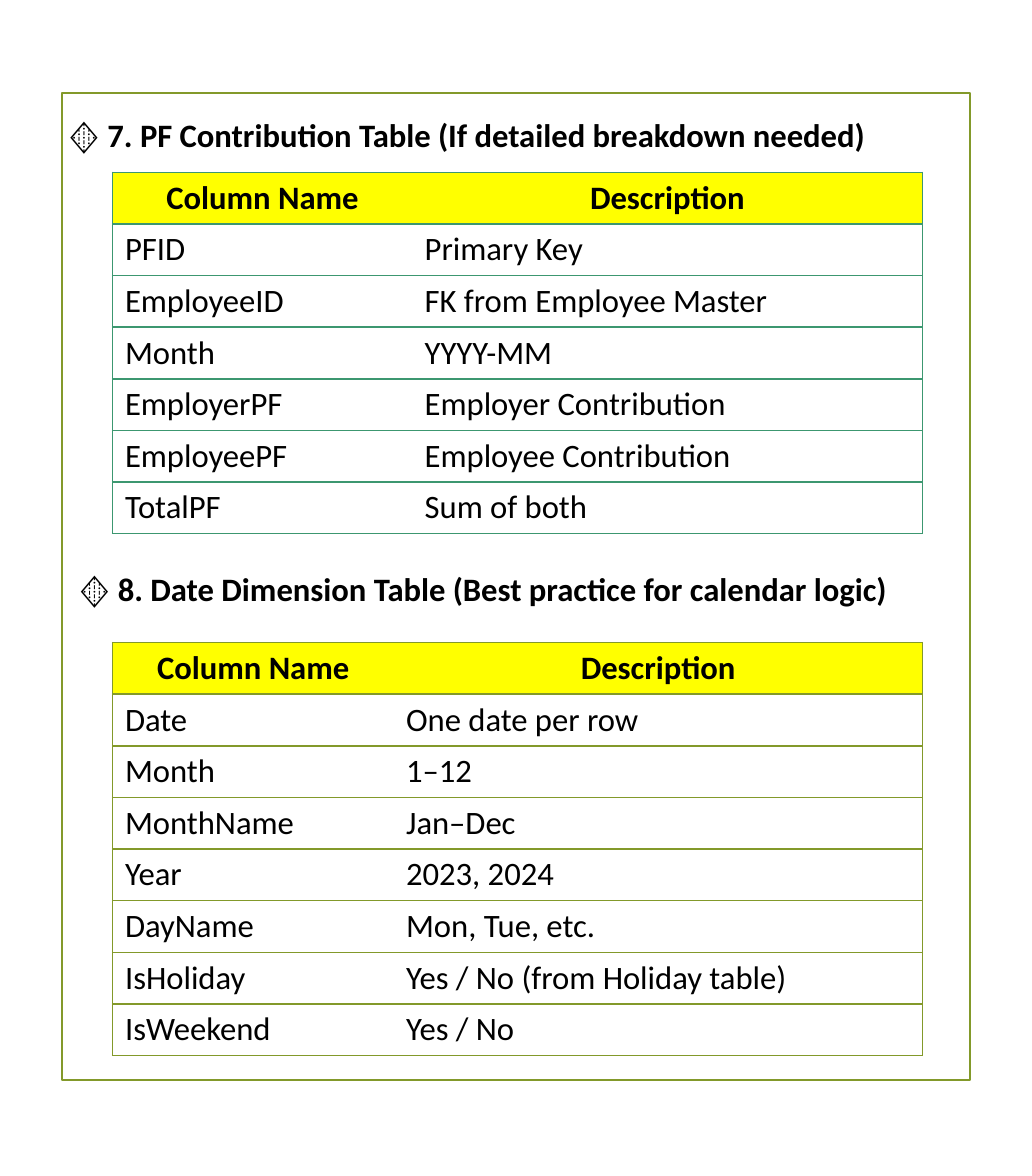
from lxml import etree
from pptx import Presentation
from pptx.dml.color import RGBColor
from pptx.enum.shapes import MSO_SHAPE
from pptx.enum.text import MSO_ANCHOR, PP_ALIGN
from pptx.oxml.ns import qn
from pptx.util import Inches, Pt

RECTANGLE = MSO_SHAPE.RECTANGLE
MIDDLE = MSO_ANCHOR.MIDDLE
LEFT, CENTER = PP_ALIGN.LEFT, PP_ALIGN.CENTER

WIDTH, HEIGHT = Pt(600), Pt(684)
FONT, FONT_SIZE = "Calibri", Pt(19)
BLACK, WHITE, YELLOW = "000000", "FFFFFF", "FFFF00"
OLIVE, GREEN = "83992A", "3C9770"
TABLE_LEFT, TABLE_WIDTH, ROW_HEIGHT = 10.92, 78.48, 4.39

HEADER = ("Column Name", "Description")
PF_ROWS = [
    HEADER,
    ("PFID", "Primary Key"),
    ("EmployeeID", "FK from Employee Master"),
    ("Month", "YYYY-MM"),
    ("EmployerPF", "Employer Contribution"),
    ("EmployeePF", "Employee Contribution"),
    ("TotalPF", "Sum of both"),
]
DATE_ROWS = [
    HEADER,
    ("Date", "One date per row"),
    ("Month", "1–12"),
    ("MonthName", "Jan–Dec"),
    ("Year", "2023, 2024"),
    ("DayName", "Mon, Tue, etc."),
    ("IsHoliday", "Yes / No (from Holiday table)"),
    ("IsWeekend", "Yes / No"),
]


def across(percent):
    return round(WIDTH * percent / 100)


def down(percent):
    return round(HEIGHT * percent / 100)


def color(hex_string):
    return RGBColor.from_string(hex_string)


def add_text(text_frame, text, bold, alignment=LEFT):
    paragraph = text_frame.paragraphs[0]
    paragraph.alignment = alignment
    run = paragraph.add_run()
    run.text = text
    run.font.name = FONT
    run.font.size = FONT_SIZE
    run.font.bold = bold
    run.font.color.rgb = color(BLACK)


def add_frame(slide):
    frame = slide.shapes.add_shape(
        RECTANGLE, across(6), down(7.9), across(88), down(83.93))
    frame.shadow.inherit = False
    frame.fill.background()
    frame.line.color.rgb = color(OLIVE)
    frame.line.width = Pt(1.25)


def add_heading(slide, text, left, top, width):
    heading = slide.shapes.add_textbox(
        across(left), down(top), across(width), down(4.42))
    heading.text_frame.word_wrap = True
    heading.text_frame.vertical_anchor = MIDDLE
    add_text(heading.text_frame, text, True)


def set_borders(cell, open_side, hex_string):
    properties = cell._tc.get_or_add_tcPr()
    for side in ("lnL", "lnR", "lnT", "lnB"):
        line = etree.SubElement(properties, qn(f"a:{side}"), w=str(Pt(1)))
        if side == open_side:
            etree.SubElement(line, qn("a:noFill"))
        else:
            fill = etree.SubElement(line, qn("a:solidFill"))
            etree.SubElement(fill, qn("a:srgbClr"), val=hex_string)


def fill_cell(cell, text, is_header, open_side, border):
    set_borders(cell, open_side, border)
    cell.fill.solid()
    cell.fill.fore_color.rgb = color(YELLOW if is_header else WHITE)
    cell.vertical_anchor = MIDDLE
    cell.margin_top = cell.margin_bottom = Inches(0.04)
    add_text(cell.text_frame, text, is_header, CENTER if is_header else LEFT)


def add_field_table(slide, rows, top, name_width, border):
    table = slide.shapes.add_table(
        len(rows), len(HEADER), across(TABLE_LEFT), down(top),
        across(TABLE_WIDTH), down(ROW_HEIGHT * len(rows))).table
    table.first_row = False
    table.horz_banding = False
    for column, width in zip(table.columns, (name_width, TABLE_WIDTH - name_width)):
        column.width = across(width)
    for row_index, texts in enumerate(rows):
        table.rows[row_index].height = down(ROW_HEIGHT)
        for column_index, text in enumerate(texts):
            open_side = ("lnR", "lnL")[column_index]
            fill_cell(table.cell(row_index, column_index), text,
                      row_index == 0, open_side, border)


def main():
    presentation = Presentation()
    presentation.slide_width, presentation.slide_height = WIDTH, HEIGHT
    slide = presentation.slides.add_slide(presentation.slide_layouts[6])
    add_frame(slide)
    add_field_table(slide, PF_ROWS, 14.66, 29.04, GREEN)
    add_heading(slide, "🔶 7. PF Contribution Table (If detailed breakdown needed)",
                5.4, 9.26, 81.84)
    add_field_table(slide, DATE_ROWS, 54.64, 27.24, OLIVE)
    add_heading(slide, "🔶 8. Date Dimension Table (Best practice for calendar logic)",
                6.4, 47.79, 82.92)
    presentation.save("out.pptx")


if __name__ == "__main__":
    main()
